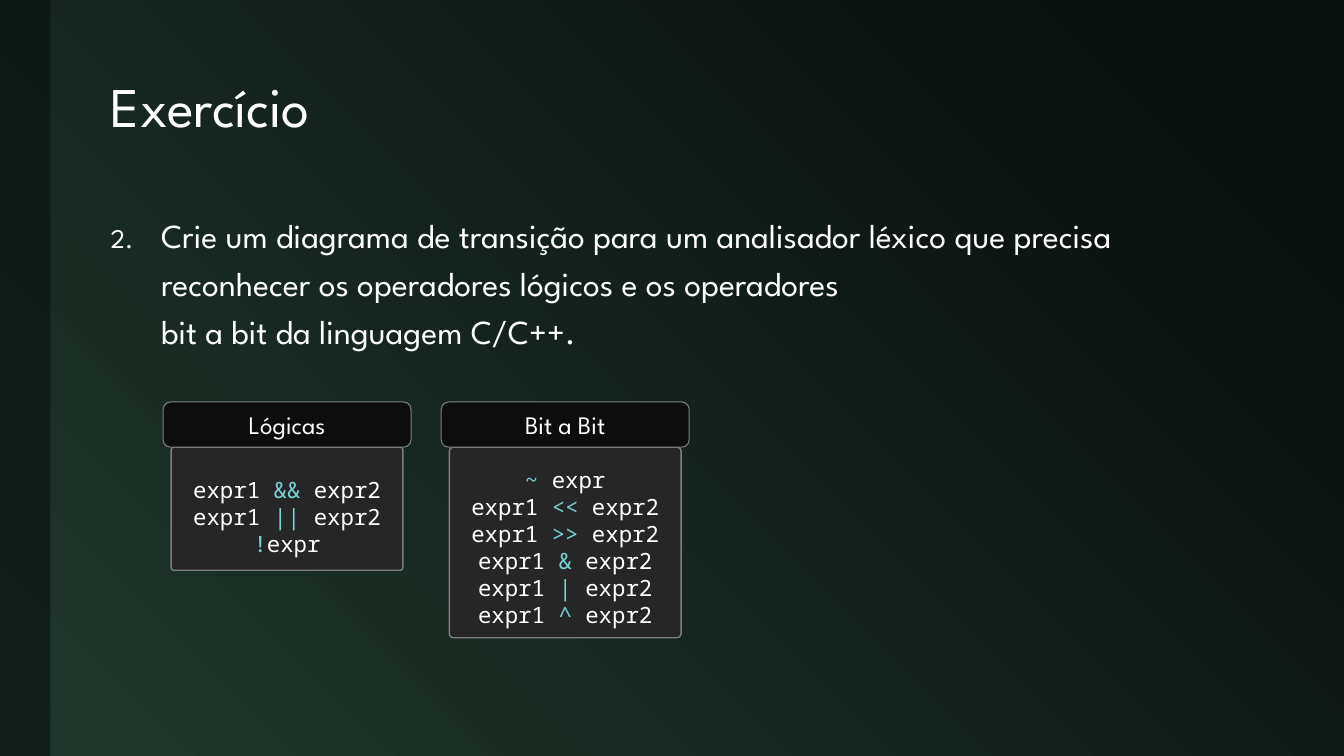
"""Builds the exercise slide on logical and bitwise operators."""
from lxml import etree
from pptx import Presentation
from pptx.dml.color import RGBColor
from pptx.enum.shapes import MSO_SHAPE
from pptx.enum.text import MSO_ANCHOR, PP_ALIGN
from pptx.oxml.ns import qn
from pptx.util import Cm, Pt

RECT, ROUND = MSO_SHAPE.RECTANGLE, MSO_SHAPE.ROUNDED_RECTANGLE
TOP, MIDDLE = MSO_ANCHOR.TOP, MSO_ANCHOR.MIDDLE
LEFT, CENTER = PP_ALIGN.LEFT, PP_ALIGN.CENTER
SANS, MONO = "League Spartan", "Noto Sans Mono"

COLORS = {
    "night": "0A100E", "moss": "20362D", "white": "FFFFFF", "teal": "77D1D3",
    "panel": "262626", "head": "0D0D0D", "edge": "808080",
}
TITLE = "Exercício"
TASK = ("Crie um diagrama de transição para um analisador léxico que precisa "
        "reconhecer os operadores lógicos e os operadores\v"
        "bit a bit da linguagem C/C++.")
CARDS = [
    {"name": "Lógicas", "high": 3.1, "inset": 0.58, "rows": [
        ("expr1 ", "&&", " expr2"), ("expr1 ", "||", " expr2"),
        ("", "!", "expr")]},
    {"name": "Bit a Bit", "high": 4.8, "inset": 0.33, "rows": [
        ("", "~ ", "expr"), ("expr1 ", "<<", " expr2"),
        ("expr1 ", ">>", " expr2"), ("expr1 ", "&", " expr2"),
        ("expr1 ", "|", " expr2"), ("expr1 ", "^", " expr2")]},
]
MARGIN, WIDE = 2.54, 29.59
CARD_X, CARD_Y, STEP = 4.11, 10.13, 7.01
HEAD_W, HEAD_H, PANEL_W = 6.25, 1.14, 5.84


def rgb(name):
    return RGBColor.from_string(COLORS[name])


def style(para, font, size, align=LEFT):
    para.alignment = align
    para.font.name, para.font.size = font, Pt(size)
    para.font.color.rgb = rgb("white")


def block(shapes, kind, box, fill, width=0):
    shape = shapes.add_shape(kind, *map(Cm, box))
    shape.shadow.inherit = False
    shape.fill.solid()
    shape.fill.fore_color.rgb = rgb(fill)
    if width:
        shape.line.color.rgb = rgb("edge")
        shape.line.width = Pt(width)
    else:
        shape.line.fill.background()
    return shape


def paint(slide):
    fill = slide.background.fill
    fill.gradient()
    fill.gradient_angle = 225
    for stop, spot, name in zip(fill.gradient_stops, (0.1, 1), ("night", "moss")):
        stop.position = spot
        stop.color.rgb = rgb(name)
    strip = block(slide.shapes, RECT, (0, 0, 1.27, 19.05), "night")
    tone = strip.fill._xPr.find(".//" + qn("a:srgbClr"))
    etree.SubElement(tone, qn("a:alpha"), val="60000")


def write_title(slide):
    title = slide.shapes.title
    title.left, title.top, title.width, title.height = map(
        Cm, (MARGIN, 1.07, WIDE, 3.38))
    title.text_frame.text = TITLE
    title.text_frame.vertical_anchor = MIDDLE
    para = title.text_frame.paragraphs[0]
    style(para, SANS, 40)
    para.line_spacing = 0.9


def write_task(slide):
    frame = slide.shapes.add_textbox(
        *map(Cm, (MARGIN, 5.08, WIDE, 12.27))).text_frame
    frame.word_wrap = True
    para = frame.paragraphs[0]
    para.text = TASK
    style(para, SANS, 24)
    para.line_spacing, para.space_before = 1.2, Pt(18)
    props = para._p.get_or_add_pPr()
    props.set("marL", str(Cm(1.27)))
    props.set("indent", str(-Cm(1.27)))
    marks = [etree.Element(qn("a:buSzPct"), val="80000"),
             etree.Element(qn("a:buFont"), typeface=SANS),
             etree.Element(qn("a:buAutoNum"), type="arabicPeriod", startAt="2")]
    spot = list(props).index(props.find(qn("a:defRPr")))
    props[spot:spot] = marks


def add_card(slide, card, left):
    shapes = slide.shapes.add_group_shape().shapes
    side = (HEAD_W - PANEL_W) / 2
    panel = block(shapes, ROUND, (left + side, CARD_Y + HEAD_H, PANEL_W,
                                  card["high"]), "panel", 1)
    panel.adjustments[0] = 0.021
    frame = panel.text_frame
    frame.vertical_anchor = TOP
    frame.margin_top = Cm(card["inset"] + 0.13)
    for i, row in enumerate(card["rows"]):
        para = frame.add_paragraph() if i else frame.paragraphs[0]
        style(para, MONO, 16, CENTER)
        for part, name in zip(row, ("white", "teal", "white")):
            if part:
                run = para.add_run()
                run.text = part
                run.font.color.rgb = rgb(name)
    head = block(shapes, ROUND, (left, CARD_Y, HEAD_W, HEAD_H), "head", 0.75)
    head.text_frame.text = card["name"]
    style(head.text_frame.paragraphs[0], SANS, 18, CENTER)


def main():
    deck = Presentation()
    deck.slide_width, deck.slide_height = Cm(33.87), Cm(19.05)
    slide = deck.slides.add_slide(deck.slide_layouts[5])
    paint(slide)
    write_title(slide)
    write_task(slide)
    for i, card in enumerate(CARDS):
        add_card(slide, card, CARD_X + i * STEP)
    deck.save("out.pptx")


if __name__ == "__main__":
    main()
